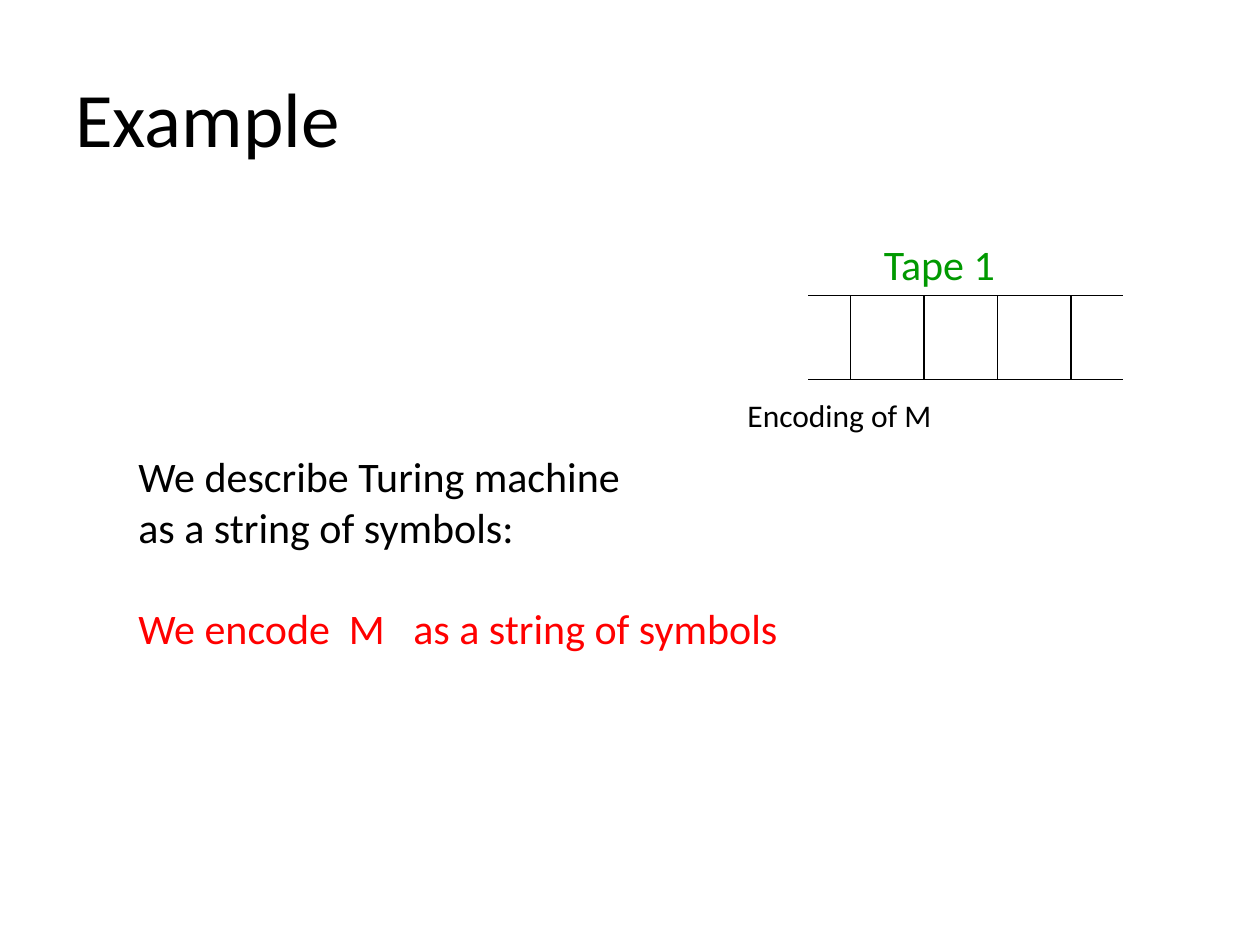
from lxml import etree
from pptx import Presentation
from pptx.dml.color import RGBColor
from pptx.enum.shapes import MSO_CONNECTOR as CONNECTOR
from pptx.enum.text import MSO_ANCHOR as ANCHOR
from pptx.oxml.ns import qn
from pptx.util import Pt

COLORS = {"ink": "000000", "tape": "009900", "encode": "FF0000"}

deck = Presentation()
deck.slide_width, deck.slide_height = Pt(720), Pt(540)
slide = deck.slides.add_slide(deck.slide_layouts[6])


def add_text(*lines, box, size=24, color="ink", anchor=ANCHOR.TOP):
    """Each line is a string, or a (string, color, space before) tuple."""
    frame = slide.shapes.add_textbox(*map(Pt, box)).text_frame
    frame.word_wrap = True
    frame.vertical_anchor = anchor
    for i, line in enumerate(lines):
        words, tint, gap = (line, color, 0) if isinstance(line, str) else line
        paragraph = frame.paragraphs[0] if i == 0 else frame.add_paragraph()
        paragraph.text = words
        if gap:
            paragraph.space_before = Pt(gap)
        paragraph.font.name = "Calibri"
        paragraph.font.size = Pt(size)
        paragraph.font.color.rgb = RGBColor.from_string(COLORS[tint])


def add_line(x1, y1, x2, y2):
    line = slide.shapes.add_connector(CONNECTOR.STRAIGHT, Pt(x1), Pt(y1), Pt(x2), Pt(y2))
    line.line.color.rgb = RGBColor.from_string(COLORS["ink"])
    line.line.width = Pt(0.75)
    etree.SubElement(line._element.spPr, qn("a:effectLst"))


# Title
add_text("Example", box=(36, 21.6, 648, 90), size=44, anchor=ANCHOR.MIDDLE)

# Description
add_text(
    "We describe Turing machine",
    "as a string of symbols:",
    ("We encode  M   as a string of symbols", "encode", 29),
    box=(72, 254, 385, 124),
)

# Tape: two open rails and evenly spaced cell borders
tape_left, tape_right, tape_top, tape_bottom = 462, 642, 169, 217
first_border, cell_width = 486, 42
for y in (tape_top, tape_bottom):
    add_line(tape_left, y, tape_right, y)
for i in range(4):
    x = first_border + i * cell_width
    add_line(x, tape_top, x, tape_bottom)

# Tape labels
add_text("Encoding of M", box=(420, 223, 121, 29), size=18)
add_text("Tape 1", box=(498, 133, 87, 36), color="tape")

deck.save("out.pptx")
